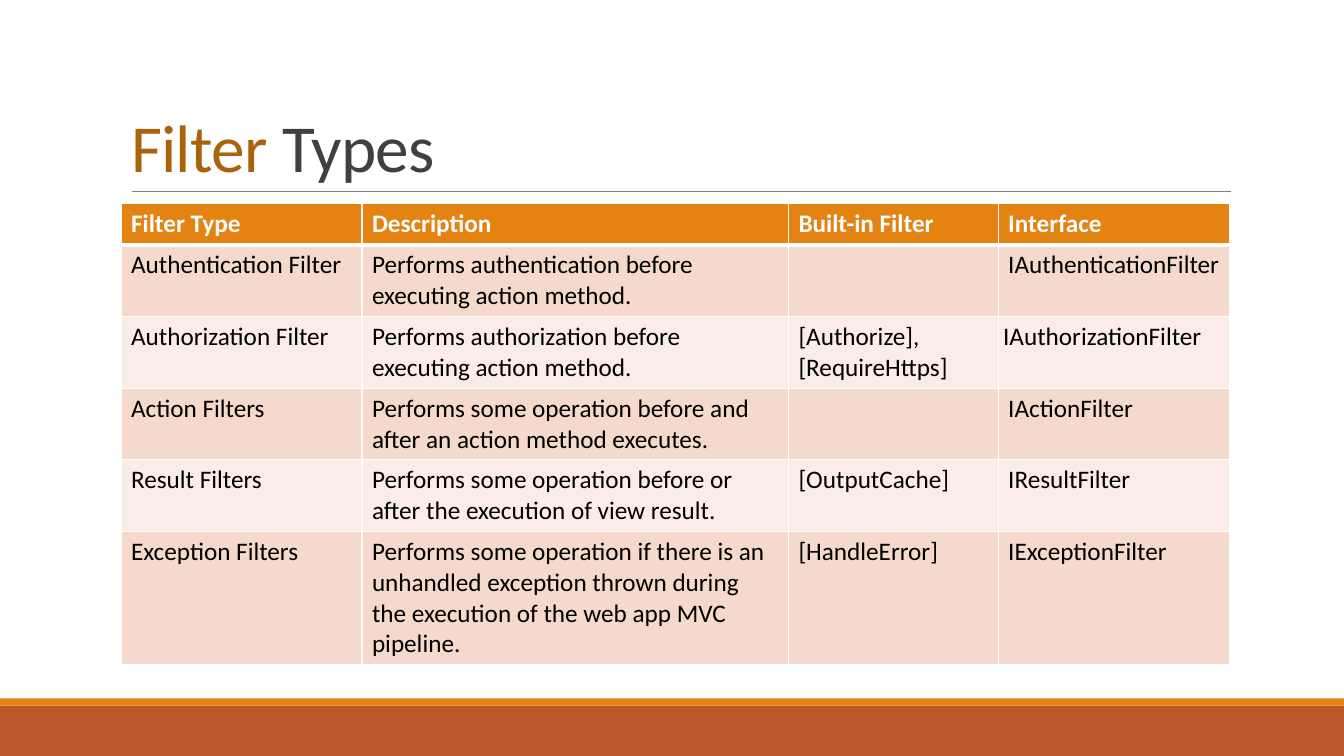
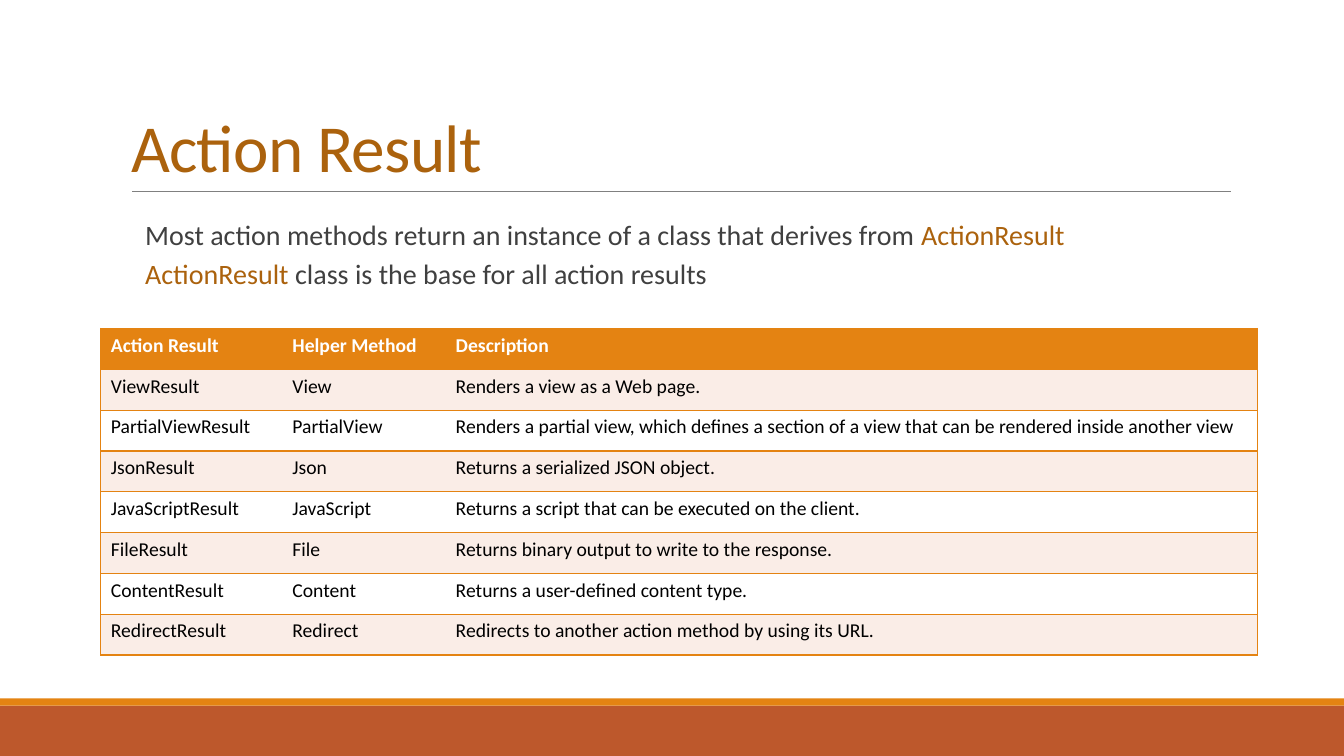
from dataclasses import dataclass

from lxml import etree
from pptx import Presentation
from pptx.dml.color import RGBColor
from pptx.enum.shapes import MSO_CONNECTOR, MSO_SHAPE
from pptx.enum.text import MSO_ANCHOR, MSO_AUTO_SIZE, PP_ALIGN
from pptx.oxml.ns import qn
from pptx.util import Inches, Pt

RECTANGLE = MSO_SHAPE.RECTANGLE
STRAIGHT = MSO_CONNECTOR.STRAIGHT
BOTTOM = MSO_ANCHOR.BOTTOM
NO_AUTOFIT = MSO_AUTO_SIZE.NONE
LEFT = PP_ALIGN.LEFT


@dataclass(frozen=True)
class Theme:
    font: str = "Calibri"
    white: str = "FFFFFF"
    black: str = "000000"
    text: str = "404040"
    highlight: str = "AB620D"
    orange: str = "E48312"
    rust: str = "BD582C"
    rule: str = "808080"
    band_dark: str = "F5D9CC"
    band_light: str = "FAEDE7"
    title_size: int = 48
    body_size: int = 20
    large_table_size: int = 18
    small_table_size: int = 14


theme = Theme()


def write_text(paragraph, *runs, size, color=theme.text, bold=False, tracking=None,
               line_spacing=None, before=0, after=0):
    """Write runs, each a text or a (text, colour) pair, into a paragraph."""
    paragraph.alignment = LEFT
    paragraph.line_spacing = line_spacing
    paragraph.space_before, paragraph.space_after = Pt(before), Pt(after)
    for part in runs:
        text, run_color = (part, color) if isinstance(part, str) else part
        run = paragraph.add_run()
        run.text = text
        run.font.name, run.font.size, run.font.bold = theme.font, Pt(size), bold
        run.font.color.rgb = RGBColor.from_string(run_color)
        if tracking is not None:
            run.font._element.set("spc", str(round(tracking * 100)))


def set_borders(cell, color, widths):
    """Draw the borders given in points by side; zero hides a side."""
    properties = cell._tc.get_or_add_tcPr()
    for side in "LRTB":
        line = etree.SubElement(properties, qn(f"a:ln{side}"), w=str(Pt(widths[side])))
        if widths[side]:
            fill = etree.SubElement(line, qn("a:solidFill"))
            etree.SubElement(fill, qn("a:srgbClr"), val=color)
        else:
            etree.SubElement(line, qn("a:noFill"))


# Slide content
slides = [
    {
        "title": [("Filter", theme.highlight), " Types"],
        "body": [],
        "position": (1.2, 2.02),
        "columns": [2.39, 4.23, 2.08, 2.3],
        "row_heights": [0.41, 0.71, 0.71, 0.71, 0.71, 1.31],
        "size": theme.large_table_size,
        "bands": (theme.band_dark, theme.band_light),
        "border": theme.white,
        "header_rule": 3,
        "inner_verticals": 1,
        "tight_cells": [(2, 3)],
        "rows": [
            ["Filter Type", "Description", "Built-in Filter", "Interface"],
            ["Authentication Filter", "Performs authentication before executing action method.",
             "", "IAuthenticationFilter"],
            ["Authorization Filter", "Performs authorization before executing action method.",
             "[Authorize], [RequireHttps]", "IAuthorizationFilter"],
            ["Action Filters", "Performs some operation before and after an action method executes.",
             "", "IActionFilter"],
            ["Result Filters", "Performs some operation before or after the execution of view result.",
             "[OutputCache]", "IResultFilter"],
            ["Exception Filters",
             "Performs some operation if there is an unhandled exception thrown during "
             "the execution of the web app MVC pipeline.",
             "[HandleError]", "IExceptionFilter"],
        ],
    },
    {
        "title": [("Action Result", theme.highlight)],
        "body": [
            ["Most action methods return an instance of a class that derives from ",
             ("ActionResult", theme.highlight)],
            [("ActionResult ", theme.highlight), "class is the base for all action results"],
        ],
        "position": (1, 3.26),
        "columns": [1.8, 1.62, 8.05],
        "row_heights": [3.24 / 8] * 8,
        "size": theme.small_table_size,
        "bands": (theme.band_light, theme.white),
        "border": theme.orange,
        "header_rule": 1,
        "inner_verticals": 0,
        "tight_cells": [],
        "rows": [
            ["Action Result", "Helper Method", "Description"],
            ["ViewResult", "View", "Renders a view as a Web page."],
            ["PartialViewResult", "PartialView",
             "Renders a partial view, which defines a section of a view that can be "
             "rendered inside another view"],
            ["JsonResult", "Json", "Returns a serialized JSON object."],
            ["JavaScriptResult", "JavaScript", "Returns a script that can be executed on the client."],
            ["FileResult", "File", "Returns binary output to write to the response."],
            ["ContentResult", "Content", "Returns a user-defined content type."],
            ["RedirectResult", "Redirect", "Redirects to another action method by using its URL."],
        ],
    },
]

presentation = Presentation()
presentation.slide_width, presentation.slide_height = Inches(13.33), Inches(7.5)
title_only = presentation.slide_layouts[5]

for content in slides:
    slide = presentation.slides.add_slide(title_only)

    # Footer bands
    for top, height, color in [(7, 0.5, theme.rust), (6.93, 0.07, theme.orange)]:
        band = slide.shapes.add_shape(RECTANGLE, 0, Inches(top), Inches(13.33), Inches(height))
        band.shadow.inherit = False
        band.fill.solid()
        band.fill.fore_color.rgb = RGBColor.from_string(color)
        band.line.fill.background()

    # Rule under the title
    rule = slide.shapes.add_connector(STRAIGHT, Inches(1.31), Inches(1.9), Inches(12.21), Inches(1.9))
    rule.line.color.rgb = RGBColor.from_string(theme.rule)
    rule.line.width = Pt(0.5)
    etree.SubElement(rule._element.spPr, qn("a:effectLst"))

    # Title
    title = slide.shapes.title
    title.left, title.top = Inches(1.2), Inches(0.31)
    title.width, title.height = Inches(11), Inches(1.59)
    title.text_frame.vertical_anchor = BOTTOM
    title.text_frame.auto_size = NO_AUTOFIT
    write_text(title.text_frame.paragraphs[0], *content["title"], size=theme.title_size,
               tracking=-0.5, line_spacing=0.85)

    # Body text
    if content["body"]:
        body = slide.shapes.add_textbox(Inches(1.2), Inches(2.15), Inches(11), Inches(0.93))
        frame = body.text_frame
        frame.word_wrap = True
        frame.margin_left = frame.margin_right = 0
        for index, runs in enumerate(content["body"]):
            paragraph = frame.add_paragraph() if index else frame.paragraphs[0]
            write_text(paragraph, *runs, size=theme.body_size, line_spacing=0.9, before=2, after=4)
            paragraph._p.get_or_add_pPr().set("marL", str(Inches(0.24)))

    # Table
    rows, columns, heights = content["rows"], content["columns"], content["row_heights"]
    left, top = content["position"]
    table = slide.shapes.add_table(len(rows), len(columns), Inches(left), Inches(top),
                                   Inches(sum(columns)), Inches(sum(heights))).table
    table.horz_banding = False
    for column, width in zip(table.columns, columns):
        column.width = Inches(width)
    for row, height in zip(table.rows, heights):
        row.height = Inches(height)
    for row_index, texts in enumerate(rows):
        header = row_index == 0
        fill = theme.orange if header else content["bands"][(row_index - 1) % 2]
        for column_index, text in enumerate(texts):
            cell = table.cell(row_index, column_index)
            set_borders(cell, content["border"], {
                "L": 1 if column_index == 0 else content["inner_verticals"],
                "R": 1 if column_index == len(columns) - 1 else content["inner_verticals"],
                "T": content["header_rule"] if row_index == 1 else 1,
                "B": content["header_rule"] if header else 1,
            })
            cell.fill.solid()
            cell.fill.fore_color.rgb = RGBColor.from_string(fill)
            if (row_index, column_index) in content["tight_cells"]:
                cell.margin_left = cell.margin_right = Inches(0.05)
            if text:
                write_text(cell.text_frame.paragraphs[0], text, size=content["size"], bold=header,
                           color=theme.white if header else theme.black)

presentation.save("out.pptx")
